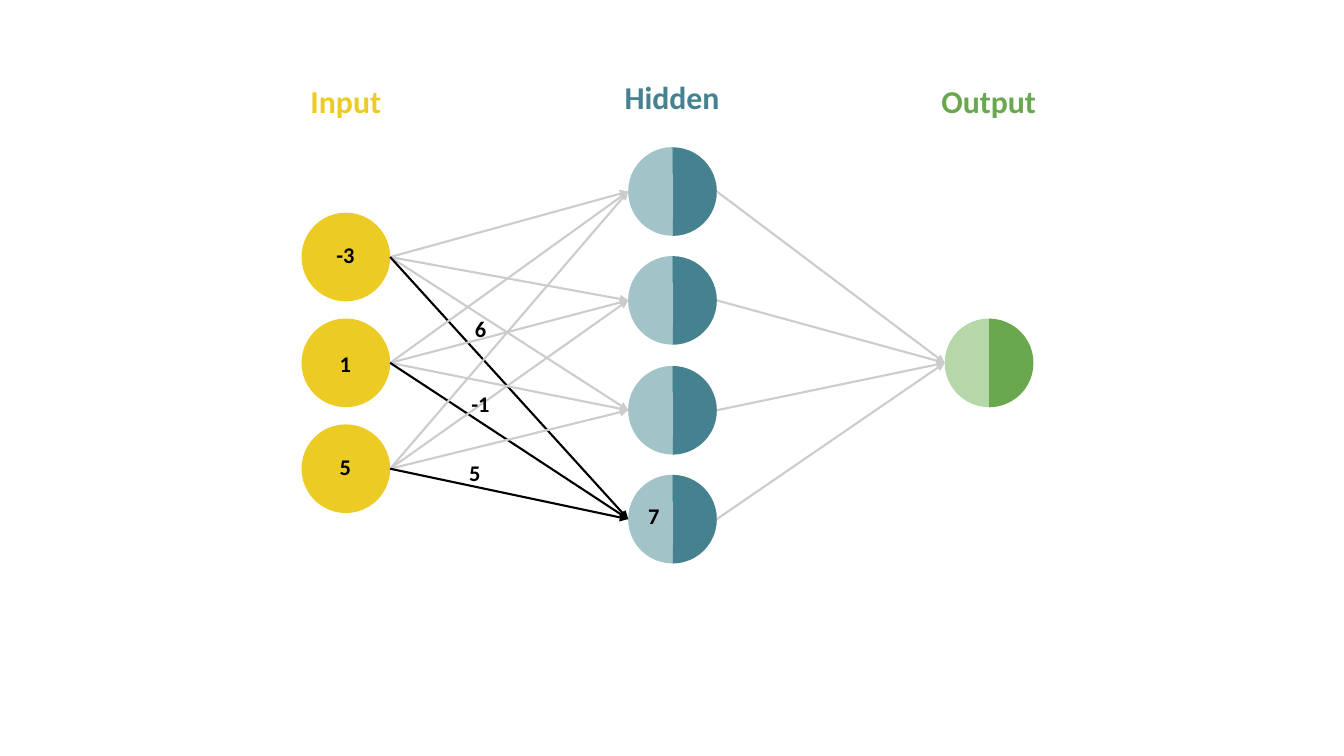
from dataclasses import dataclass

from lxml import etree
from pptx import Presentation
from pptx.dml.color import RGBColor
from pptx.enum.shapes import MSO_CONNECTOR, MSO_SHAPE
from pptx.enum.text import MSO_ANCHOR, PP_ALIGN
from pptx.oxml.ns import qn
from pptx.util import Pt

ELLIPSE = MSO_SHAPE.OVAL
PIE = MSO_SHAPE.PIE
STRAIGHT = MSO_CONNECTOR.STRAIGHT
CENTER = PP_ALIGN.CENTER
TOP = MSO_ANCHOR.TOP

EMU_PER_PX = 9144  # 100 px to the inch
FONT = "Calibri"
YELLOW, BLACK, GRAY = "ECCC24", "000000", "CCCCCC"
TEAL, LIGHT_TEAL = "45818E", "A2C4C9"
GREEN, LIGHT_GREEN = "6AA84F", "B6D7A8"
DIAMETER = 88
RADIUS = DIAMETER // 2
HALF_CIRCLE = (53.97, 162)


@dataclass
class Layer:
    left: int
    centers: list[int]
    colors: tuple[str, ...]


@dataclass
class Label:
    text: str
    left: int
    top: int
    width: int
    height: int = 37
    color: str = BLACK
    size: float = 16
    inset_x: int = 10
    inset_y: int = 5


def px(length: int) -> int:
    return length * EMU_PER_PX


def rgb(color: str) -> RGBColor:
    return RGBColor.from_string(color)


def spaced(first: int, last: int, count: int) -> list[int]:
    return [round(first + (last - first) * i / (count - 1)) for i in range(count)]


def heading(text: str, left: int, top: int, width: int, color: str) -> Label:
    return Label(text, left, top, width, 52, color, 22.7, 13, 13)


INPUT = Layer(299, spaced(255, 465, 3), (YELLOW,))
HIDDEN = Layer(623, spaced(190, 515, 4), (LIGHT_TEAL, TEAL))
OUTPUT = Layer(937, [360], (LIGHT_GREEN, GREEN))

LABELS = [
    Label("-3", 317, 234, 51),
    Label("1", 317, 342, 51),
    Label("5", 317, 445, 51),
    Label("6", 451, 308, 51),
    Label("-1", 451, 382, 51),
    Label("5", 441, 451, 60),
    Label("7", 623, 493, 51),
    heading("Input", 280, 68, 126, YELLOW),
    heading("Hidden", 594, 64, 145, TEAL),
    heading("Output", 908, 68, 145, GREEN),
]


def draw_layer(slide, layer: Layer) -> None:
    """Draw full circles for one colour, or two facing halves for two."""
    kind = ELLIPSE if len(layer.colors) == 1 else PIE
    for center in layer.centers:
        for index, color in enumerate(layer.colors):
            shape = slide.shapes.add_shape(
                kind, px(layer.left), px(center - RADIUS), px(DIAMETER), px(DIAMETER))
            if kind == PIE:
                shape.adjustments[0], shape.adjustments[1] = HALF_CIRCLE
            shape.rotation = 180 * index
            shape.shadow.inherit = False
            shape.fill.solid()
            shape.fill.fore_color.rgb = rgb(color)
            shape.line.fill.background()


def draw_arrow(slide, start: tuple[int, int], end: tuple[int, int], color: str) -> None:
    arrow = slide.shapes.add_connector(STRAIGHT, *map(px, start + end))
    arrow.line.color.rgb = rgb(color)
    arrow.line.width = Pt(1.5)
    etree.SubElement(arrow.line._get_or_add_ln(), qn("a:tailEnd"), type="triangle")
    etree.SubElement(arrow._element.spPr, qn("a:effectLst"))


def connect(slide, source: Layer, target: Layer, highlighted: int | None = None) -> None:
    """Join every node to every target, with arrows to one target in black."""
    for start in source.centers:
        for index, end in enumerate(target.centers):
            color = BLACK if index == highlighted else GRAY
            draw_arrow(slide, (source.left + DIAMETER, start), (target.left, end), color)


def draw_label(slide, label: Label) -> None:
    box = slide.shapes.add_textbox(
        px(label.left), px(label.top), px(label.width), px(label.height))
    frame = box.text_frame
    frame.word_wrap = True
    frame.vertical_anchor = TOP
    frame.margin_left = frame.margin_right = px(label.inset_x)
    frame.margin_top = frame.margin_bottom = px(label.inset_y)
    paragraph = frame.paragraphs[0]
    paragraph.alignment = CENTER
    run = paragraph.add_run()
    run.text = label.text
    run.font.name = FONT
    run.font.size = Pt(label.size)
    run.font.bold = True
    run.font.color.rgb = rgb(label.color)


def main() -> None:
    presentation = Presentation()
    presentation.slide_width = px(1333)
    presentation.slide_height = px(750)
    slide = presentation.slides.add_slide(presentation.slide_layouts[6])
    for layer in (INPUT, HIDDEN, OUTPUT):
        draw_layer(slide, layer)
    connect(slide, INPUT, HIDDEN, highlighted=len(HIDDEN.centers) - 1)
    connect(slide, HIDDEN, OUTPUT)
    for label in LABELS:
        draw_label(slide, label)
    presentation.save("out.pptx")


if __name__ == "__main__":
    main()
